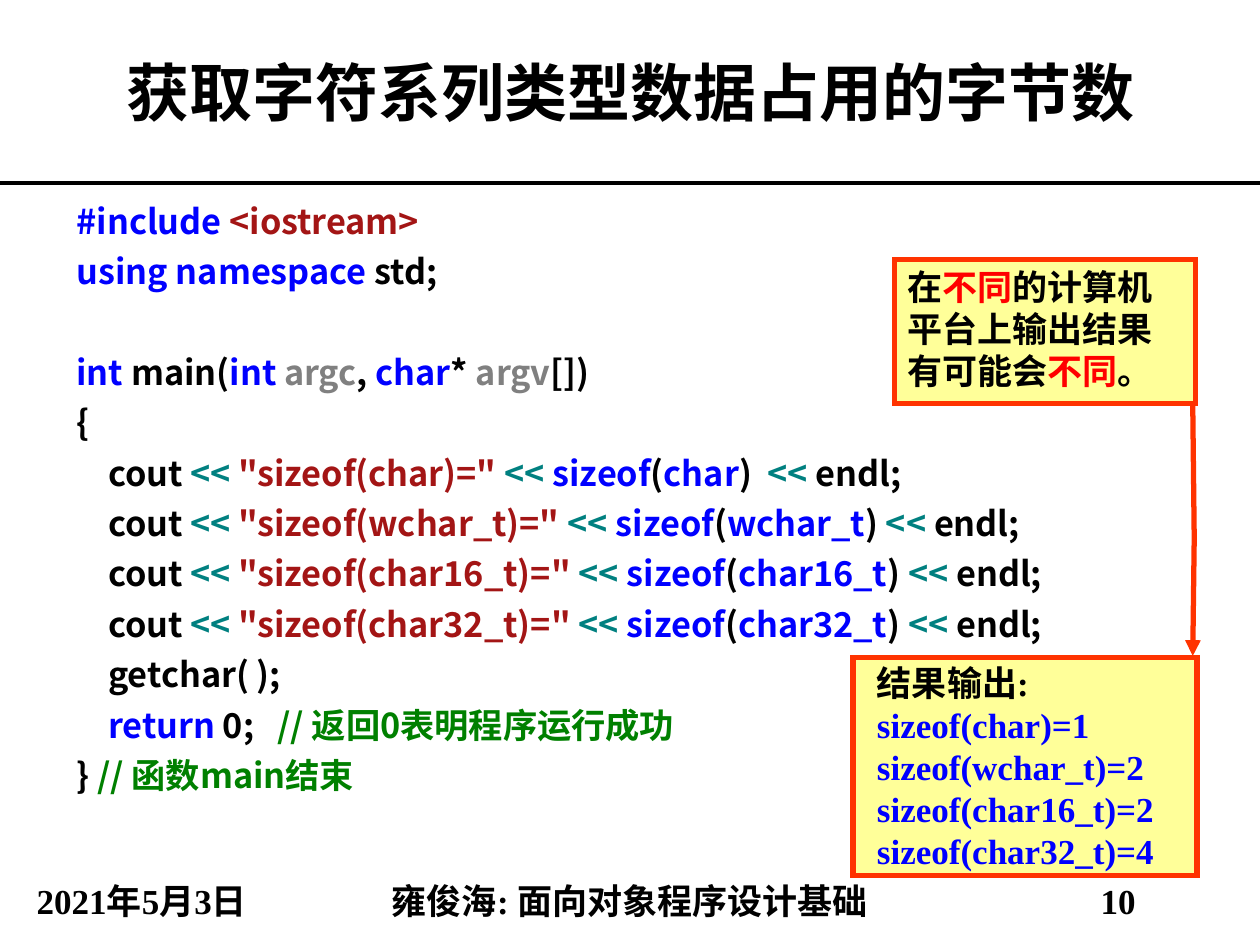
from dataclasses import dataclass

from lxml.etree import SubElement
from pptx import Presentation
from pptx.dml.color import RGBColor
from pptx.enum.shapes import MSO_CONNECTOR, MSO_SHAPE
from pptx.enum.text import MSO_ANCHOR, PP_ALIGN
from pptx.oxml.ns import qn
from pptx.util import Inches, Pt


@dataclass(frozen=True)
class Theme:
    black: str = "000000"
    keyword: str = "0000FF"
    string: str = "A31515"
    parameter: str = "808080"
    operator: str = "008080"
    comment: str = "008000"
    emphasis: str = "FF0000"
    box_fill: str = "FFFF99"
    box_line: str = "FF3300"
    serif: str = "Times New Roman"
    sans: str = "Noto Sans CJK SC"
    title_size: float = 36
    text_size: float = 20
    code_size: float = 19.6


theme = Theme()


def write(paragraph, runs, size=theme.text_size, font=theme.serif, indent=0):
    paragraph.font.size = Pt(size)
    paragraph.font.name = font
    paragraph.font.bold = True
    if indent:
        properties = paragraph._p.get_or_add_pPr()
        properties.set("marL", str(Inches(indent)))
        properties.set("indent", "0")
    for text, color in runs:
        run = paragraph.add_run()
        run.text = text
        run.font.color.rgb = RGBColor.from_string(color)


def style_box(shape, anchor):
    shape.shadow.inherit = False
    shape.fill.solid()
    shape.fill.fore_color.rgb = RGBColor.from_string(theme.box_fill)
    shape.line.color.rgb = RGBColor.from_string(theme.box_line)
    shape.line.width = Pt(3)
    SubElement(shape.line._get_or_add_ln(), qn("a:miter"), lim="800000")
    shape.text_frame.word_wrap = True
    shape.text_frame.vertical_anchor = anchor


presentation = Presentation()
presentation.slide_width, presentation.slide_height = Inches(10), Inches(7.5)
slide = presentation.slides.add_slide(presentation.slide_layouts[5])
shapes = slide.shapes
slide_width = presentation.slide_width
header_height = Inches(1.45)
footer_top = Inches(6.97)

title = shapes.title
title.left, title.top, title.width, title.height = 0, 0, slide_width, header_height
title.text_frame.vertical_anchor = MSO_ANCHOR.MIDDLE
paragraph = title.text_frame.paragraphs[0]
paragraph.alignment = PP_ALIGN.CENTER
write(paragraph, [("获取字符系列类型数据占用的字节数", theme.black)], theme.title_size)

black, keyword = theme.black, theme.keyword
output_lines = [
    (1, 1, [("cout ", black), ("<< ", theme.operator),
            (f'"sizeof({name})=" ', theme.string), ("<< ", theme.operator),
            ("sizeof", keyword), ("(", black), (name, keyword),
            (gap, black), ("<< ", theme.operator), ("endl;", black)])
    for name, gap in [("char", ")  "), ("wchar_t", ") "),
                      ("char16_t", ") "), ("char32_t", ") ")]
]
code_lines = [
    (0, 1, [("#include ", keyword), ("<iostream>", theme.string)]),
    (0, 1, [("using namespace ", keyword), ("std;", black)]),
    (0, 2, [("int", keyword), (" main(", black), ("int ", keyword),
            ("argc", theme.parameter), (", ", black), ("char", keyword),
            ("* ", black), ("argv", theme.parameter), ("[])", black)]),
    (0, 1, [("{", black)]),
    *output_lines,
    (1, 1, [("getchar( );", black)]),
    (1, 1, [("return", keyword), (" 0;   ", black),
            ("// 返回0表明程序运行成功", theme.comment)]),
    (0, 1, [("} ", black), ("// 函数main结束", theme.comment)]),
]
line_pitch, line_gap = 28.8, 10
code = shapes.add_textbox(Inches(0.51), Inches(1.6), Inches(8.99), Inches(5.35))
frame = code.text_frame
frame.word_wrap = True
for index, (level, rows, runs) in enumerate(code_lines):
    paragraph = frame.add_paragraph() if index else frame.paragraphs[0]
    paragraph.alignment = PP_ALIGN.JUSTIFY
    paragraph.line_spacing = 0.8
    paragraph.space_before = Pt(line_gap + (rows - 1) * line_pitch if index else 0)
    write(paragraph, runs, theme.code_size, theme.sans, 0.25 * level)

footer_left = 0
for text, share in [("2021年5月3日", 0.225), ("雍俊海: 面向对象程序设计基础", 0.55), ("10", 0.225)]:
    width = int(slide_width * share)
    footer = shapes.add_textbox(footer_left, footer_top, width, Inches(0.4))
    footer.text_frame.word_wrap = True
    footer.text_frame.vertical_anchor = MSO_ANCHOR.MIDDLE
    paragraph = footer.text_frame.paragraphs[0]
    paragraph.alignment = PP_ALIGN.CENTER
    paragraph.line_spacing = 0.9
    write(paragraph, [(text, black)])
    footer_left += width

rule = shapes.add_connector(MSO_CONNECTOR.STRAIGHT, 0, header_height, slide_width, header_height)
rule.line.color.rgb = RGBColor.from_string(black)
rule.line.width = Pt(2.25)
SubElement(rule._element.spPr, qn("a:effectLst"))

callout = shapes.add_shape(
    MSO_SHAPE.LINE_CALLOUT_2, Inches(7.1), Inches(2.06), Inches(2.39), Inches(1.14))
for index, value in enumerate([1, 0.99, 1.94, 0.995, 2.76, 0.99]):
    callout.adjustments[index] = value
style_box(callout, MSO_ANCHOR.TOP)
SubElement(callout.line._get_or_add_ln(), qn("a:tailEnd"), type="triangle")
paragraph = callout.text_frame.paragraphs[0]
paragraph.alignment = PP_ALIGN.LEFT
write(paragraph, [("在", black), ("不同", theme.emphasis),
                  ("的计算机平台上输出结果有可能会", black),
                  ("不同", theme.emphasis), ("。", black)])

result = shapes.add_shape(
    MSO_SHAPE.RECTANGLE, Inches(6.77), Inches(5.22), Inches(2.73), Inches(1.73))
style_box(result, MSO_ANCHOR.MIDDLE)
frame = result.text_frame
frame.margin_left = frame.margin_right = frame.margin_top = frame.margin_bottom = 0
result_lines = [("结果输出:", black)] + [
    (f"sizeof({name})={size}", keyword)
    for name, size in [("char", 1), ("wchar_t", 2), ("char16_t", 2), ("char32_t", 4)]
]
for index, line in enumerate(result_lines):
    paragraph = frame.add_paragraph() if index else frame.paragraphs[0]
    paragraph.alignment = PP_ALIGN.LEFT
    write(paragraph, [line], indent=0.19)

presentation.save("out.pptx")
